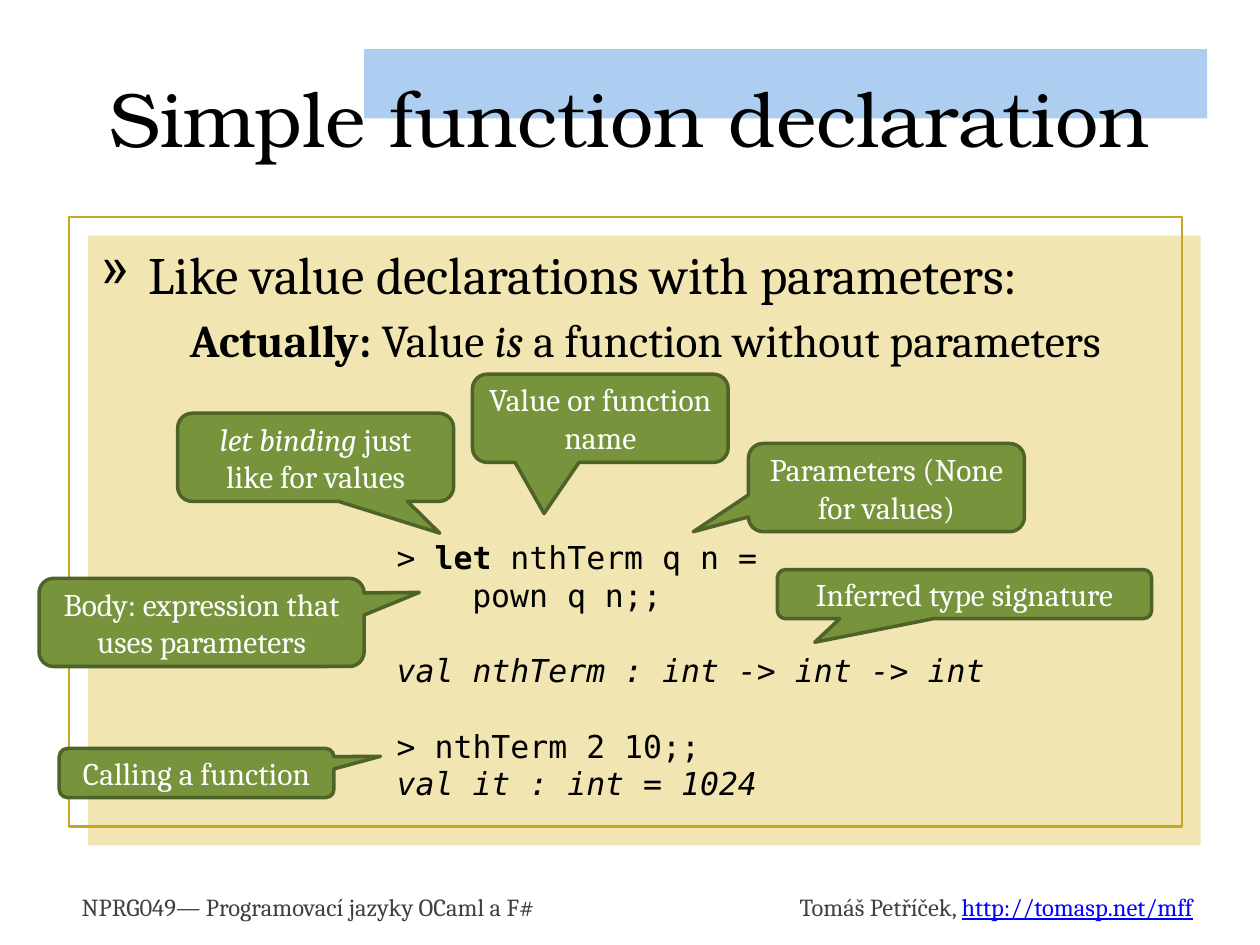
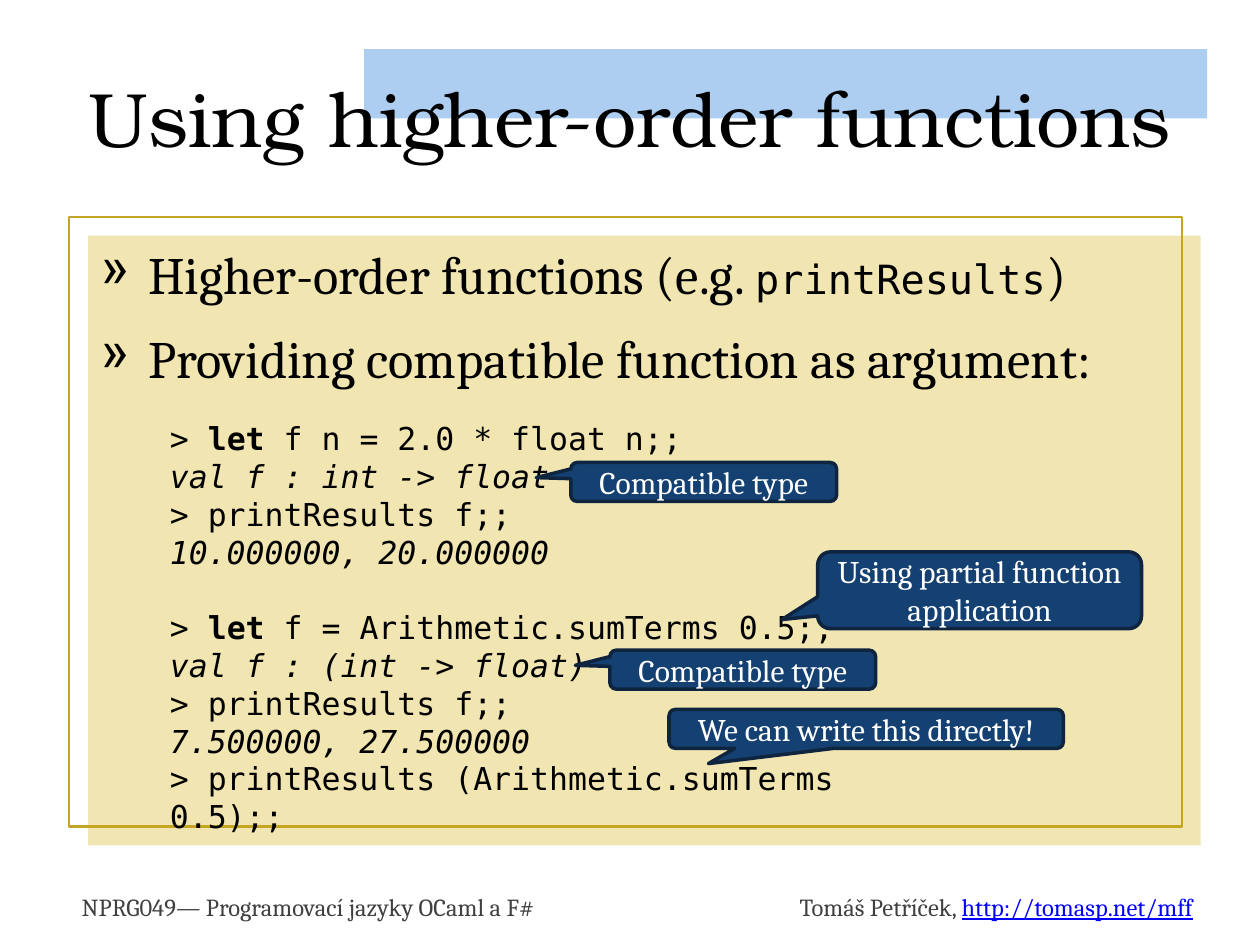
import dataclasses
import pptx
import pptx.util
import pptx.dml.color
import pptx.enum.shapes
import pptx.enum.text
import pptx.oxml.ns
import lxml.etree

Shapes = pptx.enum.shapes.MSO_SHAPE
Align = pptx.enum.text.PP_ALIGN
Anchor = pptx.enum.text.MSO_ANCHOR
COLUMNS = 100


@dataclasses.dataclass(frozen=True)
class Theme:
    serif: str = "Cambria"
    mono: str = "DejaVu Sans Mono"
    display: str = "TeX Gyre Bonum"
    title_size: float = 44
    point_size: float = 30
    remark_size: float = 26
    inline_code_size: float = 23
    small_size: float = 18
    footer_size: float = 14
    code_gap: float = 21.5
    ink: str = "000000"
    muted: str = "404040"
    link: str = "0000FF"
    light: str = "FFFFFF"
    band: str = "ADCDF1"
    panel: str = "F1E5B1"
    frame: str = "C5A623"
    green: tuple = ("77933C", "4F6228")
    navy: tuple = ("144172", "0F243E")


@dataclasses.dataclass(frozen=True)
class Box:
    left: float
    top: float
    width: float
    height: float

    def inner(self, left, top, width, height):
        return Box(self.left + left, self.top + top, width, height)

    def lengths(self, cell):
        return [round(value * cell) for value in dataclasses.astuple(self)]


THEME = Theme()
TITLE = Box(5, 3, 90, 12.5)
BAND = Box(28.9, 3.9, 66.9, 5.5)
PANEL = Box(7, 18.7, 88.3, 48.4)
FOOTER = Box(5.5, 70.3, 90.6, 3.4)

deck = pptx.Presentation()
deck.slide_width = pptx.util.Inches(10)
deck.slide_height = pptx.util.Inches(7.5)
CELL = deck.slide_width / COLUMNS


def rgb(value):
    return pptx.dml.color.RGBColor.from_string(value)


def add_block(page, kind, box, fill=None, line=None, weight=1.25):
    block = page.shapes.add_shape(kind, *box.lengths(CELL))
    block.shadow.inherit = False
    if fill:
        block.fill.solid()
        block.fill.fore_color.rgb = rgb(fill)
    else:
        block.fill.background()
    if line:
        block.line.color.rgb = rgb(line)
        block.line.width = pptx.util.Pt(weight)
    else:
        block.line.fill.background()
    return block


def add_text_box(page, box, anchor=Anchor.TOP):
    frame = page.shapes.add_textbox(*box.lengths(CELL)).text_frame
    frame.word_wrap = True
    frame.vertical_anchor = anchor
    return frame


def style_font(font, name=None, size=None, color=None):
    if name:
        font.name = name
    if size:
        font.size = pptx.util.Pt(size)
    if color:
        font.color.rgb = rgb(color)


def add_para(frame, spans, name, size, color=THEME.ink, align=Align.LEFT, before=0, after=0):
    para = frame.paragraphs[0]
    if para.runs:
        para = frame.add_paragraph()
    para.alignment = align
    para.space_before = pptx.util.Pt(before)
    para.space_after = pptx.util.Pt(after)
    style_font(para.font, name, size, color)
    for text, style in spans:
        span = para.add_run()
        span.text = text
        if style == "bold":
            span.font.bold = True
        elif style == "italic":
            span.font.italic = True
        elif style == "code":
            style_font(span.font, THEME.mono, THEME.inline_code_size)
        elif style == "link":
            span.font.underline = True
            style_font(span.font, color=THEME.link)
    return para


def indent(para, margin, first=0):
    properties = para._p.get_or_add_pPr()
    properties.set("marL", str(pptx.util.Inches(margin)))
    properties.set("indent", str(pptx.util.Inches(first)))
    return properties


def add_bullet(para, symbol):
    properties = indent(para, 0.38, -0.38)
    bullet = lxml.etree.Element(pptx.oxml.ns.qn("a:buChar"), char=symbol)
    defaults = properties.find(pptx.oxml.ns.qn("a:defRPr"))
    defaults.addprevious(bullet)


def add_header(page, box, title):
    add_block(page, Shapes.RECTANGLE, BAND, THEME.band)
    frame = add_text_box(page, box, Anchor.MIDDLE)
    add_para(frame, [(title, "")], THEME.display, THEME.title_size, align=Align.CENTER)


def add_panel(page, box):
    add_block(page, Shapes.RECTANGLE, box, THEME.panel)
    add_block(page, Shapes.RECTANGLE, box.inner(-1.5, -1.5, box.width, box.height),
              line=THEME.frame)


def add_footer(page, box):
    half = 44.5
    course = [("NPRG049— Programovací jazyky OCaml a F#", "")]
    author = [("Tomáš Petříček, ", ""), ("http://tomasp.net/mff", "link"), (" ", "")]
    for left, spans, align in ((0, course, Align.LEFT),
                               (box.width - half, author, Align.RIGHT)):
        frame = add_text_box(page, box.inner(left, 0, half, box.height))
        add_para(frame, spans, THEME.serif, THEME.footer_size, THEME.muted, align)


def add_points(page, box, points, remark=None):
    frame = add_text_box(page, box)
    for index, spans in enumerate(points):
        para = add_para(frame, spans, THEME.serif, THEME.point_size,
                        before=12 if index else 20)
        add_bullet(para, "»")
    if remark:
        para = add_para(frame, remark, THEME.serif, THEME.remark_size, before=4, after=4)
        indent(para, 0.71)


def add_listing(page, box, blocks):
    frame = add_text_box(page, box)
    for block_index, block in enumerate(blocks):
        for line_index, (spans, margin) in enumerate(block):
            gap = THEME.code_gap if block_index and not line_index else 0
            para = add_para(frame, spans, THEME.mono, THEME.small_size, before=gap)
            if margin:
                indent(para, margin)


def add_callouts(page, box, colors, callouts):
    for place, tip, spans in callouts:
        callout = add_block(page, Shapes.ROUNDED_RECTANGULAR_CALLOUT, box.inner(*place),
                            *colors, weight=2)
        callout.adjustments[0], callout.adjustments[1] = tip
        frame = callout.text_frame
        frame.word_wrap = True
        frame.vertical_anchor = Anchor.MIDDLE
        add_para(frame, spans, THEME.serif, THEME.small_size, THEME.light, Align.CENTER)


def plain(text):
    return [(text, "")]


def typed(text):
    return plain(text), 0


def reply(text):
    return [(text, "italic")], 0


def binding(text):
    return [("> ", ""), ("let", "bold"), (text, "")], 0


def add_code_page(title, points, listing_place, blocks, colors, callouts, remark=None):
    page = deck.slides.add_slide(deck.slide_layouts[6])
    add_panel(page, PANEL)
    add_footer(page, FOOTER)
    add_points(page, PANEL.inner(0, 0, 88, 48.2), points, remark)
    add_header(page, TITLE, title)
    add_listing(page, PANEL.inner(*listing_place), blocks)
    add_callouts(page, PANEL, colors, callouts)


def build_declaration_page():
    add_code_page(
        "Simple function declaration",
        [plain("Like value declarations with parameters:")],
        (23.5, 23.5, 56.3, 22.2),
        [
            [binding(" nthTerm q n ="), (plain("pown q n;;"), 0.6)],
            [reply("val nthTerm : int -> int -> int")],
            [typed("> nthTerm 2 10;;"), reply("val it : int = 1024")],
        ],
        THEME.green,
        [
            ((7.1, 14.1, 21.9, 7), (0.45, 0.86),
             [("let binding ", "italic"), ("just like for values", "")]),
            ((30.5, 11, 20.3, 7), (-0.22, 1.08), plain("Value or function name")),
            ((52.4, 16.5, 21.9, 7), (-0.7, 0.5), plain("Parameters (None for values)")),
            ((-3.9, 27.2, 25.8, 7), (0.67, -0.34),
             plain("Body: expression that uses parameters")),
            ((54.7, 26.5, 29.7, 3.9), (-0.4, 0.98), plain("Inferred type signature")),
            ((-2.3, 40.7, 21.8, 3.9), (0.67, -0.34), plain("Calling a function")),
        ],
        [("Actually:", "bold"), (" Value ", ""), ("is ", "italic"),
         ("a function without parameters", "")],
    )


def build_higher_order_page():
    compatible = ((-0.63, -0.11), plain("Compatible type"))
    add_code_page(
        "Using higher-order functions",
        [
            [("Higher-order functions (e.g. ", ""), ("printResults", "code"), (")", "")],
            plain("Providing compatible function as argument:"),
        ],
        (5.5, 14.1, 63.3, 31.3),
        [
            [binding(" f n = 2.0 * float n;;"), reply("val f : int -> float"),
             typed("> printResults f;;"), reply("10.000000, 20.000000")],
            [binding(" f = Arithmetic.sumTerms 0.5;;"), reply("val f : (int -> float)"),
             typed("> printResults f;;"), reply("7.500000, 27.500000"),
             typed("> printResults (Arithmetic.sumTerms 0.5);;")],
        ],
        THEME.navy,
        [
            ((38.3, 18, 21.1, 3.1), *compatible),
            ((41.4, 32.9, 21.1, 3.1), *compatible),
            ((57.9, 25.1, 25.7, 6.1), (-0.61, 0.38),
             plain("Using partial function application")),
            ((46.1, 37.6, 31.3, 3.1), (-0.4, 0.89), plain("We can write this directly!")),
        ],
    )


def main():
    build_declaration_page()
    build_higher_order_page()
    deck.save("out.pptx")


if __name__ == "__main__":
    main()
